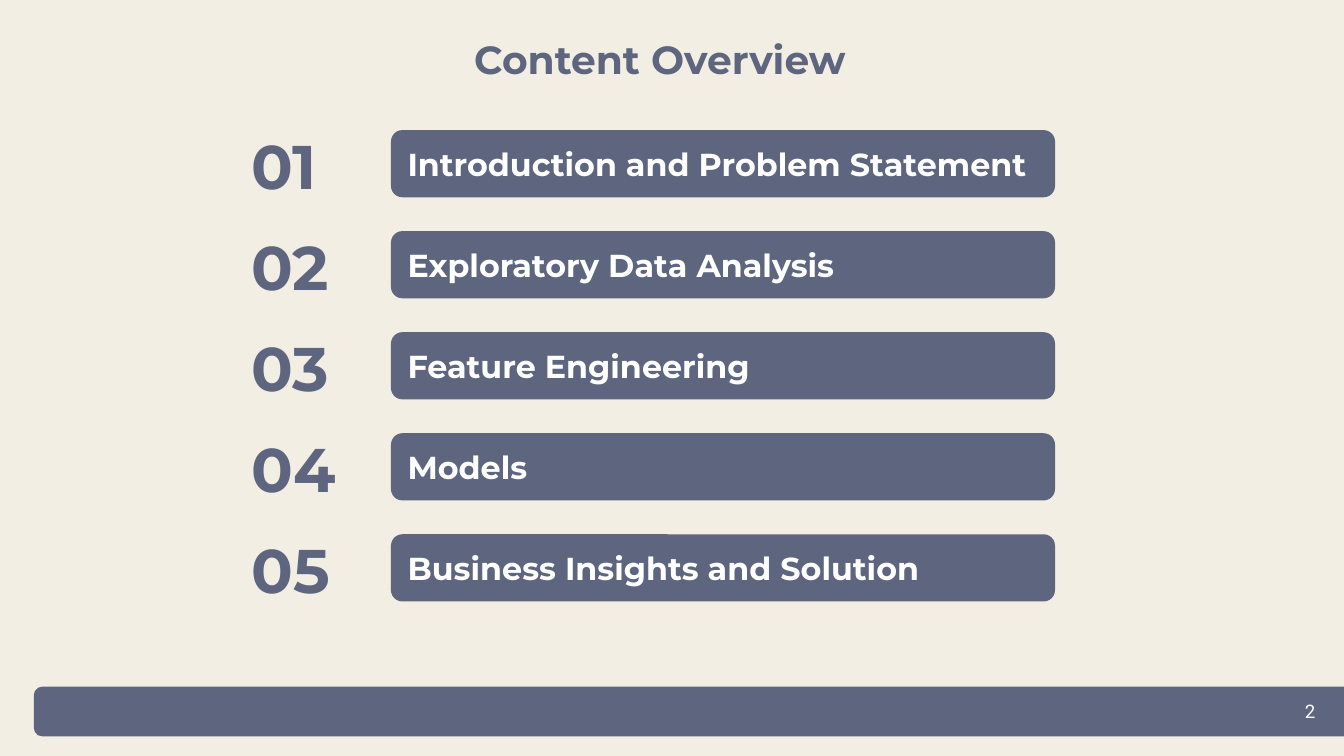
from pptx import Presentation
from pptx.dml.color import RGBColor
from pptx.enum.shapes import MSO_SHAPE as Shape
from pptx.enum.text import MSO_ANCHOR as Anchor, MSO_AUTO_SIZE as AutoSize, PP_ALIGN as Align
from pptx.util import Cm, Pt

HEADING = "Content Overview"
PAGE_NUMBER = "2"
TOPICS = [
    "Introduction and Problem Statement",
    "Exploratory Data Analysis",
    "Feature Engineering",
    "Models",
    "Business Insights and Solution",
]

COLORS = {"background": "F2EEE3", "slate": "5D667E", "white": "FFFFFF"}
TOPIC_TOP, NUMBER_TOP, ROW_PITCH = 2.46, 2.16, 1.91
FOOTER_TOP, FOOTER_HEIGHT = 12.98, 0.94
INSET = 0.25


def color(name):
    return RGBColor.from_string(COLORS[name])


def write(holder, text, size, ink, font="Montserrat", bold=True,
          align=Align.LEFT, anchor=Anchor.TOP):
    frame = holder.text_frame
    frame.word_wrap = True
    frame.auto_size = AutoSize.NONE
    frame.vertical_anchor = anchor
    frame.margin_left = frame.margin_right = Cm(INSET)
    frame.margin_top = frame.margin_bottom = Cm(INSET)
    paragraph = frame.paragraphs[0]
    paragraph.alignment = align
    run = paragraph.add_run()
    run.text = text
    run.font.name = font
    run.font.size = Pt(size)
    run.font.bold = bold
    run.font.color.rgb = color(ink)


def add_bar(slide, left, top, width, height):
    bar = slide.shapes.add_shape(
        Shape.ROUNDED_RECTANGLE, Cm(left), Cm(top), Cm(width), Cm(height))
    bar.adjustments[0] = 0.17
    bar.shadow.inherit = False
    bar.fill.solid()
    bar.fill.fore_color.rgb = color("slate")
    bar.line.fill.background()
    return bar


def add_label(slide, left, top, width, height):
    return slide.shapes.add_textbox(Cm(left), Cm(top), Cm(width), Cm(height))


def main():
    deck = Presentation()
    deck.slide_width, deck.slide_height = Cm(25.4), Cm(14.29)
    slide = deck.slides.add_slide(deck.slide_layouts[5])
    slide.background.fill.solid()
    slide.background.fill.fore_color.rgb = color("background")

    title = slide.shapes.title
    title.left, title.top = Cm(4.37), Cm(0.41)
    title.width, title.height = Cm(16.2), Cm(1.42)
    write(title, HEADING, 21, "slate", align=Align.CENTER)

    add_bar(slide, 0.64, FOOTER_TOP, 25.4, FOOTER_HEIGHT)
    page = add_label(slide, 24.41, FOOTER_TOP, 0.79, FOOTER_HEIGHT)
    write(page, PAGE_NUMBER, 10, "white", font="Roboto", bold=False)

    for row, topic in enumerate(TOPICS):
        offset = row * ROW_PITCH
        topic_bar = add_bar(slide, 7.39, TOPIC_TOP + offset, 12.55, 1.27)
        write(topic_bar, topic, 17, "white", anchor=Anchor.MIDDLE)
        number = add_label(slide, 4.5, NUMBER_TOP + offset, 2.16, 1.93)
        write(number, f"{row + 1:02d}", 33, "slate")

    deck.save("out.pptx")


if __name__ == "__main__":
    main()
